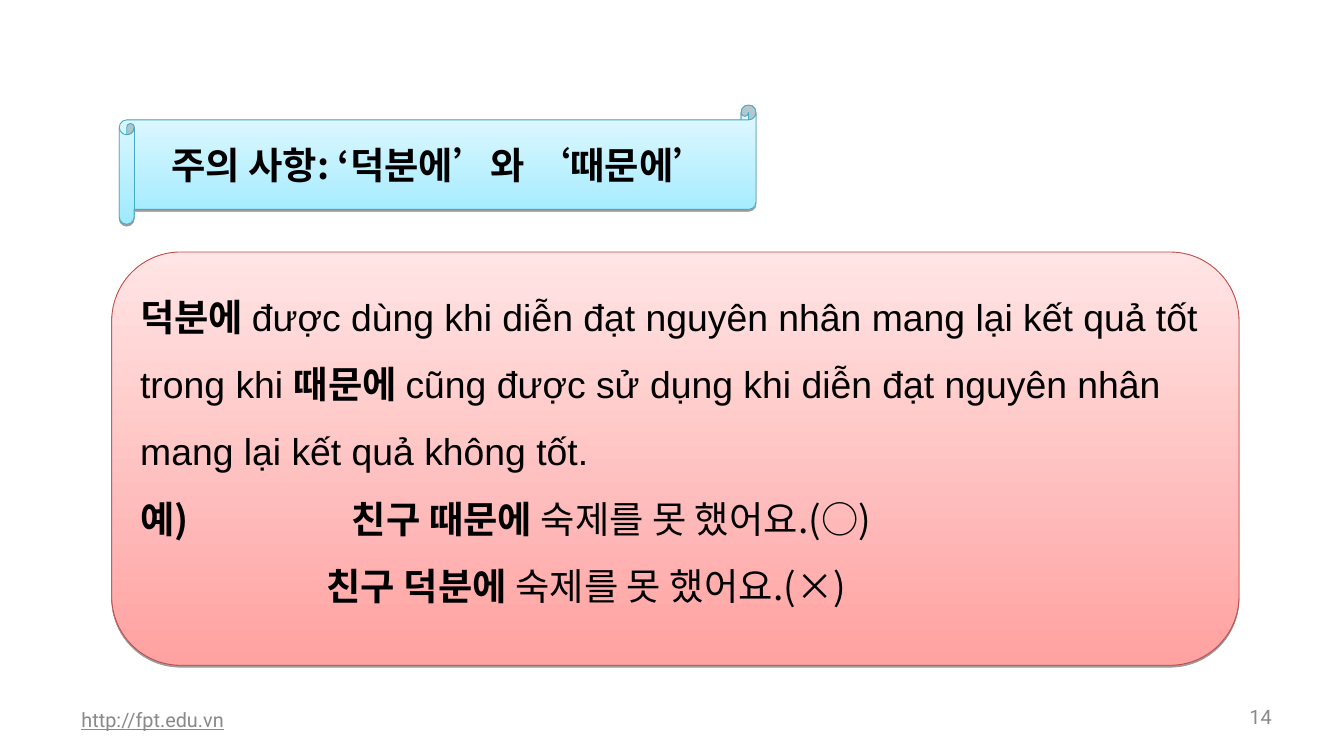
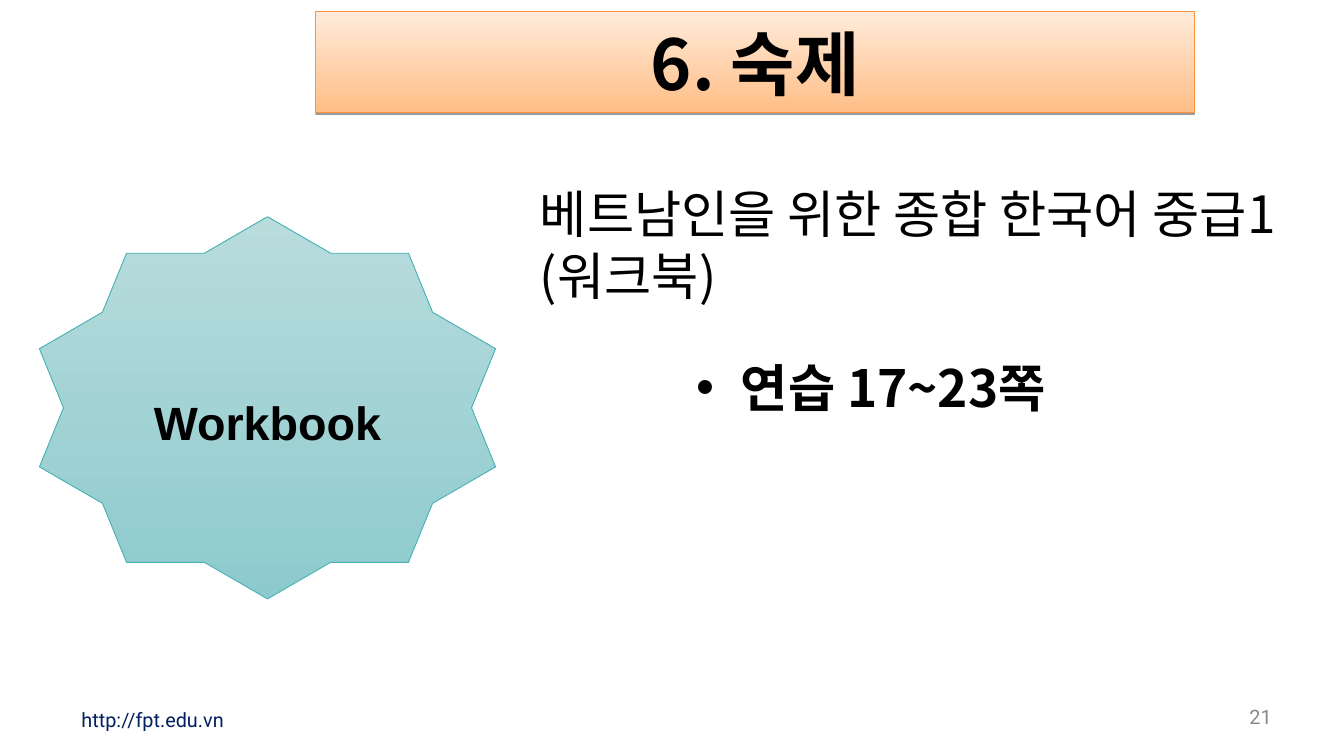
from lxml import etree
from pptx import Presentation, util as u
from pptx.dml.color import RGBColor
from pptx.enum import shapes, text
from pptx.oxml import ns

KOREAN, LATIN, FOOTER = "Noto Sans CJK KR", "Arial", "Roboto"
BLACK, GREY, NAVY = "000000", "898989", "002060"
WIDE_INSETS = (0.14, 0.07, 0.14, 0.07)


def colour(value):
    """Turn a hex string into a colour."""
    return RGBColor.from_string(value)


def add_xml(parent, tag, **attributes):
    """Append a drawing element to a parent."""
    return etree.SubElement(parent, ns.qn(tag), attributes)


def set_insets(frame, insets):
    """Set left, top, right and bottom margins."""
    frame.word_wrap = True
    sides = [u.Inches(inset) for inset in insets]
    frame.margin_left, frame.margin_top, frame.margin_right, frame.margin_bottom = sides


def write(paragraph, pieces, size, ink=BLACK, align="LEFT", spacing=None):
    """Fill a paragraph with (wording, font, bold) pieces."""
    paragraph.alignment = getattr(text.PP_ALIGN, align)
    if spacing:
        paragraph.line_spacing = spacing
    for wording, face, bold in pieces:
        run = paragraph.add_run()
        run.text = wording
        run.font.name, run.font.size, run.font.bold = face, u.Pt(size), bold
        run.font.color.rgb = colour(ink)
        add_xml(run.font._element, "a:ea", typeface=face)


def add_text(slide, box, insets=WIDE_INSETS, middle=False):
    """Add a wrapping text box and return its frame."""
    frame = slide.shapes.add_textbox(*map(u.Inches, box)).text_frame
    set_insets(frame, insets)
    if middle:
        frame.vertical_anchor = text.MSO_ANCHOR.MIDDLE
    return frame


def add_panel(slide, kind, box, dark, light, outline, shadow=True,
              insets=(0.1, 0.05, 0.1, 0.05)):
    """Add a shape shaded from dark at the bottom to light at the top."""
    panel = slide.shapes.add_shape(kind, *map(u.Inches, box))
    panel.fill.gradient()
    panel.fill.gradient_angle = 90
    for stop, shade in zip(panel.fill.gradient_stops, (dark, light)):
        stop.color.rgb = colour(shade)
    panel.line.color.rgb = colour(outline)
    panel.line.width = u.Pt(0.75)
    panel.shadow.inherit = False
    if shadow:
        effects = panel._element.spPr.find(ns.qn("a:effectLst"))
        cast = add_xml(effects, "a:outerShdw", blurRad="0", dist=str(u.Pt(1.6)),
                       dir="5400000", rotWithShape="0")
        add_xml(add_xml(cast, "a:srgbClr", val=BLACK), "a:alpha", val="38000")
    set_insets(panel.text_frame, insets)
    return panel.text_frame


def add_footer(slide, number, ink, underline=False):
    """Add the web address and the page number."""
    address = add_text(slide, (0.83, 8.33, 5.07, 0.48), middle=True).paragraphs[0]
    write(address, [("http://fpt.edu.vn", FOOTER, False)], 17, ink)
    address.runs[0].font.underline = underline
    page = add_text(slide, (14.5, 8.33, 0.78, 0.41), middle=True).paragraphs[0]
    write(page, [(number, FOOTER, False)], 17, GREY, "RIGHT")


def build_usage(slide):
    """Explain the two expressions of cause."""
    add_footer(slide, "14", GREY, True)
    rule = add_panel(slide, shapes.MSO_SHAPE.ROUNDED_RECTANGLE, (1.33, 3, 13.42, 4.92),
                     "FFA2A1", "FFE5E5", "BE4B48", insets=(0.1, 0.05, 0.1, 0.5))
    write(rule.paragraphs[0], [
        ("덕분에 ", KOREAN, True),
        ("được dùng khi diễn đạt nguyên nhân mang lại kết quả tốt trong khi ", LATIN, False),
        ("때문에 ", KOREAN, True),
        ("cũng được sử dụng khi diễn đạt nguyên nhân mang lại kết quả không tốt.", LATIN, False),
    ], 32, spacing=1.5)
    right_example = rule.add_paragraph()
    tabs = add_xml(right_example._p.get_or_add_pPr(), "a:tabLst")
    add_xml(tabs, "a:tab", pos=str(u.Inches(2.52)), algn="l")
    write(right_example, [("예)\t친구 때문에 ", KOREAN, True),
                          ("숙제를 못 했어요.(○)", KOREAN, False)], 32, spacing=1.5)
    wrong_example = rule.add_paragraph()
    wrong_example._p.get_or_add_pPr().set("marL", str(u.Inches(2.22)))
    write(wrong_example, [("친구 덕분에 ", KOREAN, True),
                          ("숙제를 못 했어요.(×)", KOREAN, False)], 32, spacing=1.5)
    heading = add_panel(slide, shapes.MSO_SHAPE.HORIZONTAL_SCROLL, (1.42, 1.25, 7.58, 1.42),
                        "9EEAFF", "E4F9FF", "46AAC5")
    write(heading.paragraphs[0], [("주의 사항: ‘덕분에’와 ‘때문에’", KOREAN, True)],
          32, align="CENTER")


def build_homework(slide):
    """Set the workbook homework."""
    exercise = add_text(slide, (8.15, 4.17, 6.04, 2.17)).paragraphs[0]
    properties = exercise._p.get_or_add_pPr()
    properties.set("marL", str(u.Inches(0.53)))
    properties.set("indent", str(u.Inches(-0.53)))
    add_xml(add_xml(properties, "a:buClr"), "a:srgbClr", val=BLACK)
    add_xml(properties, "a:buFont", typeface=LATIN)
    add_xml(properties, "a:buChar", char="•")
    write(exercise, [("연습 17~23쪽", KOREAN, True)], 44)
    add_footer(slide, "21", NAVY)
    book = add_text(slide, (6.33, 2.12, 9.67, 1.57), (0.1, 0.05, 0.1, 0.05))
    book.auto_size = text.MSO_AUTO_SIZE.SHAPE_TO_FIT_TEXT
    write(book.paragraphs[0],
          [("베트남인을 위한 종합 한국어 중급1 (워크북)", KOREAN, False)], 44)
    heading = add_panel(slide, shapes.MSO_SHAPE.RECTANGLE, (3.76, 0.14, 10.46, 1.2),
                        "FFBE86", "FFEBDB", "F69240")
    write(heading.paragraphs[0], [("6. 숙제", KOREAN, True)], 60, align="CENTER")
    badge = add_panel(slide, shapes.MSO_SHAPE.STAR_10_POINT, (0.47, 2.58, 5.43, 4.55),
                      "8DCACD", "B9DCDD", "46B2B5", shadow=False)
    write(badge.paragraphs[0], [("Workbook", LATIN, True)], 40, align="CENTER", spacing=1.5)


def main():
    """Build and save the presentation."""
    deck = Presentation()
    deck.slide_width, deck.slide_height = u.Inches(16), u.Inches(9)
    for build in (build_usage, build_homework):
        build(deck.slides.add_slide(deck.slide_layouts[6]))
    deck.save("out.pptx")


if __name__ == "__main__":
    main()
